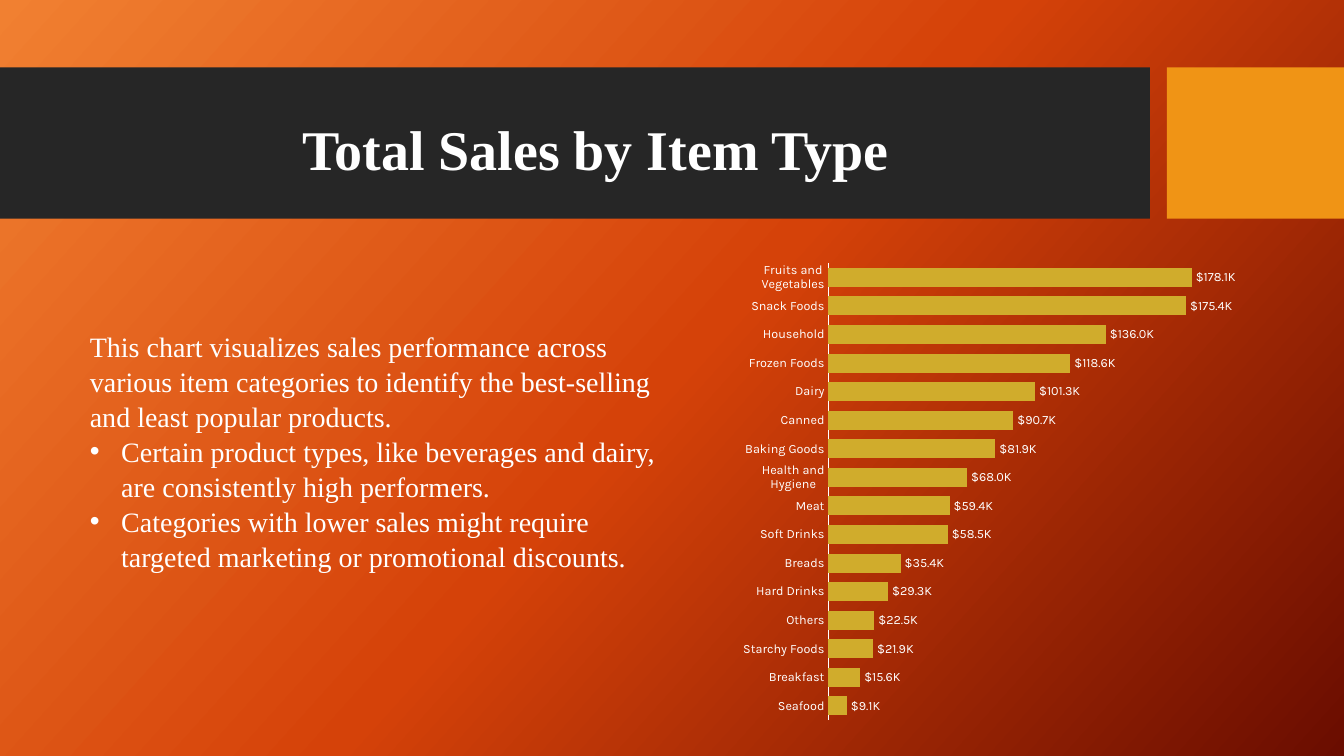
import copy

import pptx
import pptx.chart.data
import pptx.dml.color
import pptx.enum.chart
import pptx.enum.shapes
import pptx.enum.text
import pptx.oxml
import pptx.oxml.ns
import pptx.util

Cm, Pt = pptx.util.Cm, pptx.util.Pt
RGB = pptx.dml.color.RGBColor

TITLE = "Total Sales by Item Type"
INTRO = ("This chart visualizes sales performance across various item categories "
         "to identify the best-selling and least popular products.")
POINTS = [
    "Certain product types, like beverages and dairy, are consistently high performers.",
    "Categories with lower sales might require targeted marketing or promotional discounts.",
]
SALES = {
    "Seafood": 9100, "Breakfast": 15600, "Starchy Foods": 21900, "Others": 22500,
    "Hard Drinks": 29300, "Breads": 35400, "Soft Drinks": 58500, "Meat": 59400,
    "Health and Hygiene": 68000, "Baking Goods": 81900, "Canned": 90700,
    "Dairy": 101300, "Frozen Foods": 118600, "Household": 136000,
    "Snack Foods": 175400, "Fruits and Vegetables": 178100,
}

WHITE = RGB(0xFF, 0xFF, 0xFF)
DARK = RGB(0x26, 0x26, 0x26)
AMBER = RGB(0xF0, 0x94, 0x15)
GOLD = RGB(0xD0, 0xAC, 0x2C)
GLOW = [(0, RGB(0xF1, 0x80, 0x31)), (0.5, RGB(0xD5, 0x42, 0x09)), (1, RGB(0x6A, 0x0D, 0x00))]
SERIF = "Times New Roman"
MONEY = '"$"0.0,"K"'

WIDE, HIGH = Cm(33.87), Cm(19.05)
BAND_TOP, BAND_HIGH = Cm(1.7), Cm(3.81)
BAND_END, TILE_LEFT = Cm(28.98), Cm(29.41)
INDENT = Cm(0.79)


def paint(slide):
    fill = slide.background.fill
    fill.gradient()
    fill.gradient_angle = 360 - 42
    stops = slide.element.find(".//" + pptx.oxml.ns.qn("a:gsLst"))
    stops.append(copy.deepcopy(stops[-1]))
    for stop, (place, color) in zip(fill.gradient_stops, GLOW):
        stop.position = place
        stop.color.rgb = color


def add_band(slide, left, right, color, depth):
    band = slide.shapes.add_shape(pptx.enum.shapes.MSO_SHAPE.RECTANGLE,
                                  left, BAND_TOP, right - left, BAND_HIGH)
    band.shadow.inherit = False
    band.fill.solid()
    band.fill.fore_color.rgb = color
    band.line.fill.background()
    slide.shapes.element.insert(depth, band.element)  # behind the placeholders


def place(holder, left, top, width, height):
    holder.left, holder.top, holder.width, holder.height = left, top, width, height
    frame = holder.text_frame
    frame.word_wrap = True
    frame.auto_size = pptx.enum.text.MSO_AUTO_SIZE.SHAPE_TO_FIT_TEXT
    frame.vertical_anchor = pptx.enum.text.MSO_ANCHOR.TOP
    return frame


def write(para, text, size, bold, space):
    para.alignment = pptx.enum.text.PP_ALIGN.LEFT
    para.space_before = Pt(0)
    para.line_spacing = space
    run = para.add_run()
    run.text = text
    style(run.font, SERIF, size)
    run.font.bold = bold


def style(font, name, size):
    font.name, font.size = name, Pt(size)
    font.color.rgb = WHITE


def set_bullet(para, mark):
    props = para._p.get_or_add_pPr()
    props.set("marL", str(INDENT if mark else 0))
    props.set("indent", str(-INDENT if mark else 0))
    if mark:
        font = pptx.oxml.parse_xml(
            f'<a:buFont {pptx.oxml.ns.nsdecls("a")} typeface="Arial"/>')
        props.append(font)
        tag = f'<a:buChar {pptx.oxml.ns.nsdecls("a")} char="{mark}"/>'
    else:
        tag = f'<a:buNone {pptx.oxml.ns.nsdecls("a")}/>'
    props.append(pptx.oxml.parse_xml(tag))


def add_bars(slide):
    data = pptx.chart.data.CategoryChartData()
    data.categories = list(SALES)
    data.add_series("Series 1", list(SALES.values()))
    chart = slide.shapes.add_chart(pptx.enum.chart.XL_CHART_TYPE.BAR_CLUSTERED,
                                   Cm(18.47), Cm(6.38), Cm(12.95), Cm(12.01), data).chart
    chart.has_legend = chart.has_title = False
    style(chart.font, "Cabin", 10)

    cats = chart.category_axis
    cats.major_tick_mark = pptx.enum.chart.XL_TICK_MARK.NONE
    cats.format.line.color.rgb = WHITE
    cats.format.line.width = Pt(0.75)
    style(cats.tick_labels.font, "Karla", 9)

    vals = chart.value_axis
    vals.visible = vals.has_major_gridlines = False
    vals.minimum_scale, vals.maximum_scale = 0, 200000
    vals.tick_labels.number_format = MONEY
    vals.tick_labels.number_format_is_linked = False

    plot = chart.plots[0]
    plot.gap_width = 50
    plot.vary_by_categories = False
    bars = plot.series[0]
    bars.format.fill.solid()
    bars.format.fill.fore_color.rgb = GOLD
    labels = bars.data_labels
    labels.show_value = True
    labels.position = pptx.enum.chart.XL_LABEL_POSITION.OUTSIDE_END
    labels.number_format = MONEY
    labels.number_format_is_linked = False
    style(labels.font, "Karla", 9)


def main():
    deck = pptx.Presentation()
    deck.slide_width, deck.slide_height = WIDE, HIGH
    slide = deck.slides.add_slide(deck.slide_layouts[1])
    paint(slide)
    add_band(slide, 0, BAND_END, DARK, 2)
    add_band(slide, TILE_LEFT, WIDE, AMBER, 3)

    title = place(slide.shapes.title, Cm(7.37), Cm(2.59), Cm(16.94), Cm(1.96))
    write(title.paragraphs[0], TITLE, 40, True, 1.1)

    body = place(slide.placeholders[1], Cm(2.01), Cm(8.15), Cm(15.24), Cm(6.25))
    for i, text in enumerate([INTRO] + POINTS):
        para = body.add_paragraph() if i else body.paragraphs[0]
        set_bullet(para, "•" if i else None)
        write(para, text, 20, False, 1.04)

    add_bars(slide)
    deck.save("out.pptx")


if __name__ == "__main__":
    main()
